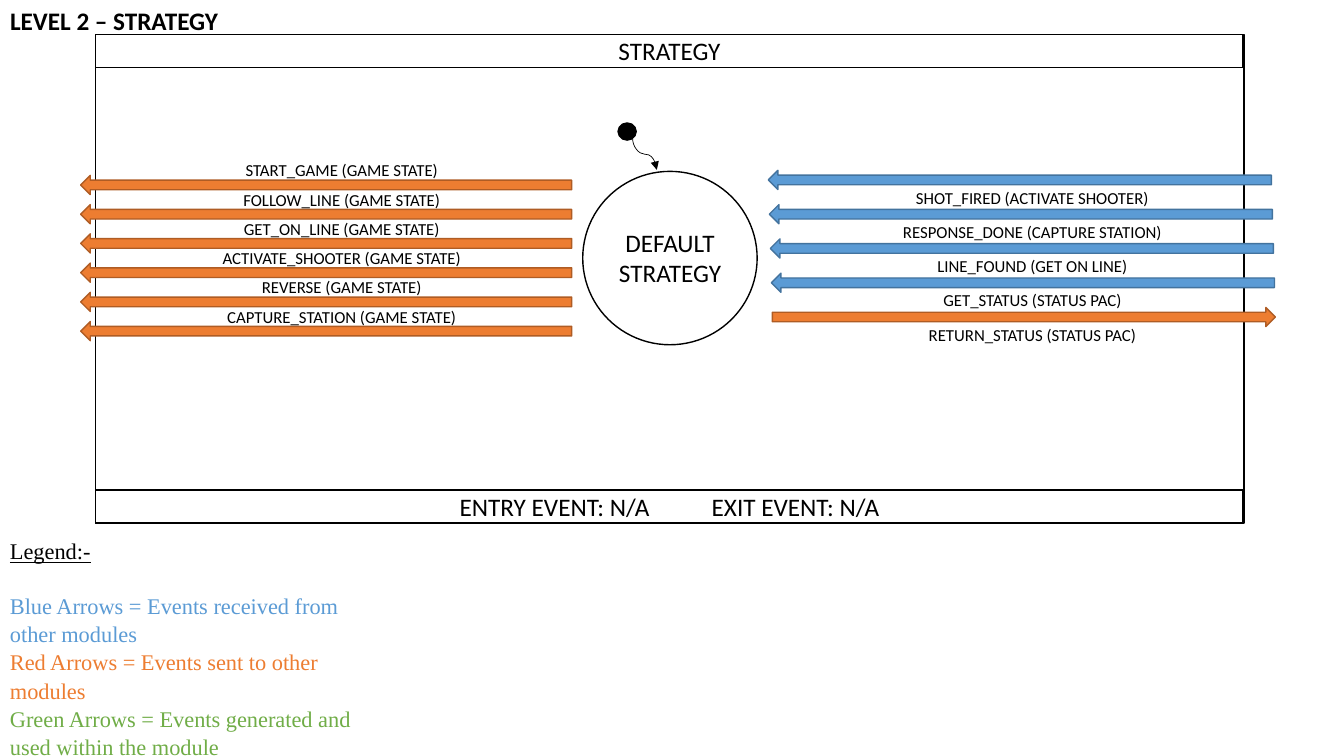
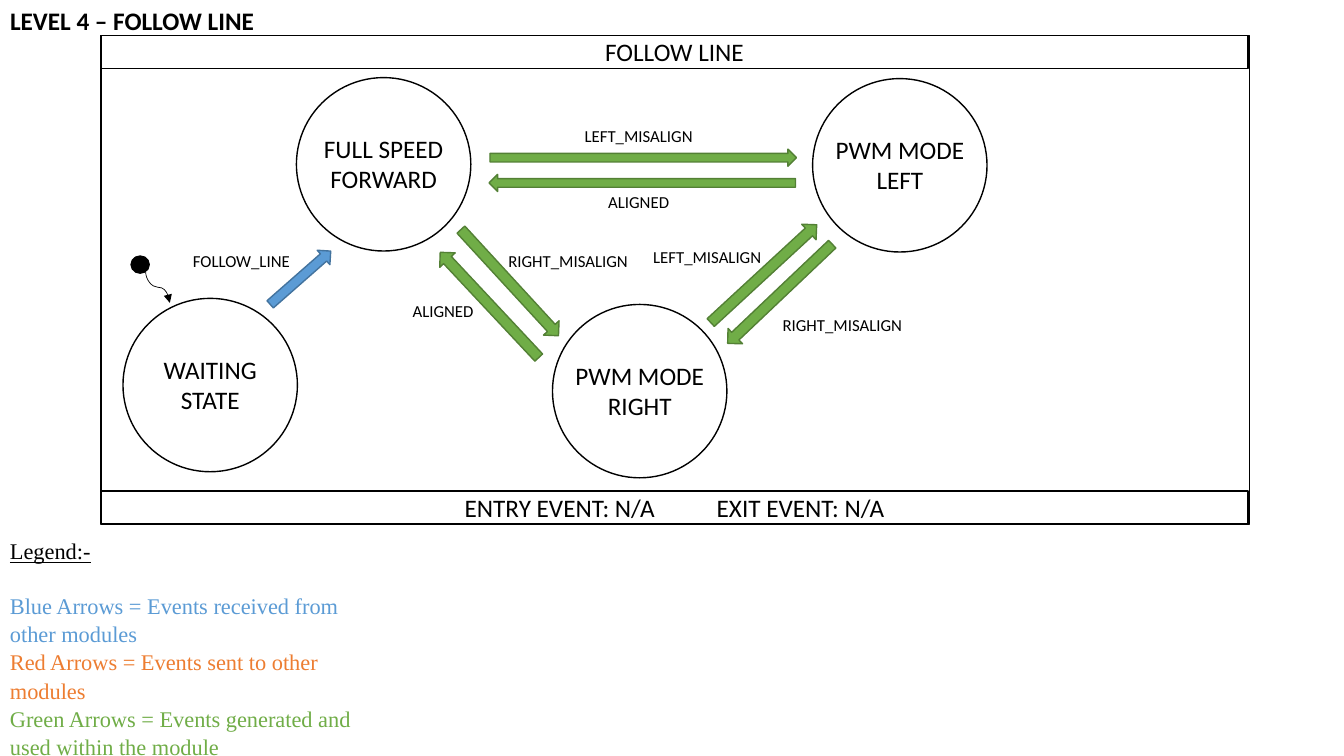
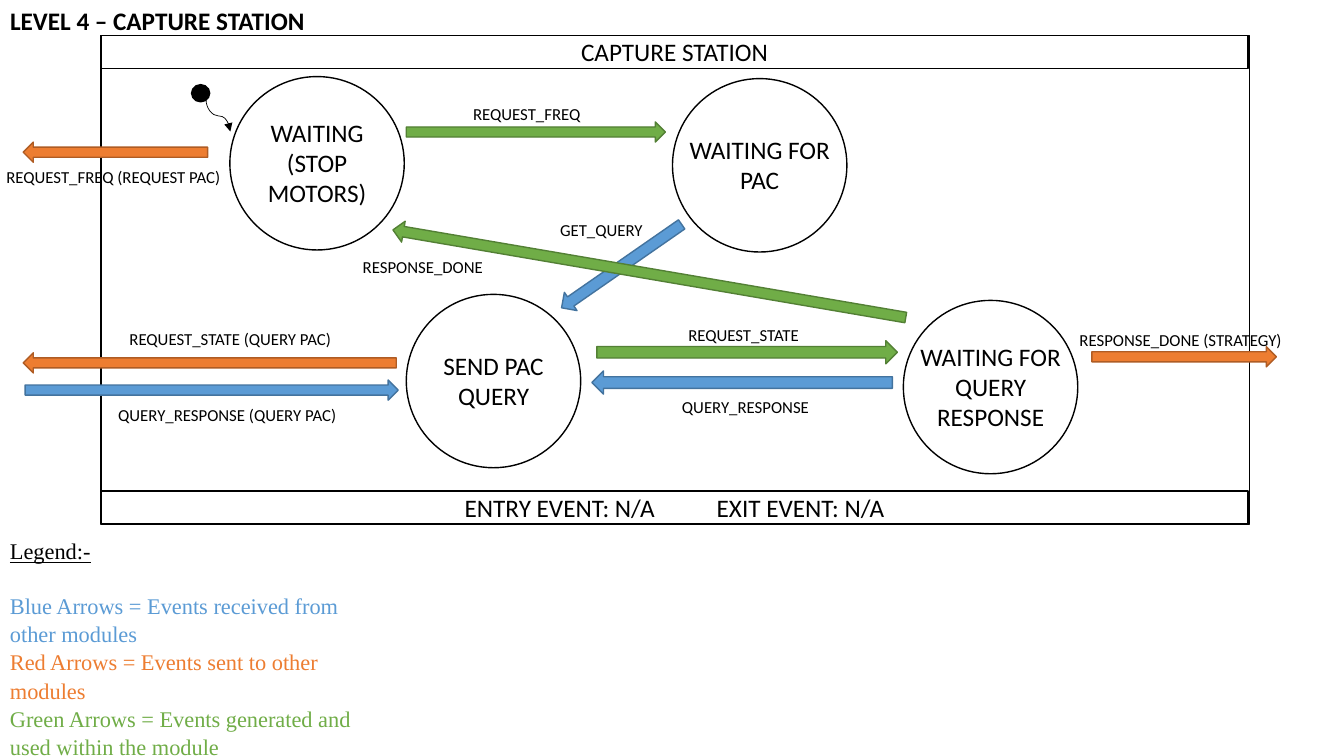
from pptx import Presentation
from pptx.dml.color import RGBColor
from pptx.enum.shapes import MSO_CONNECTOR, MSO_SHAPE
from pptx.enum.text import MSO_ANCHOR, MSO_AUTO_SIZE, PP_ALIGN
from pptx.oxml.ns import qn
from pptx.util import Inches, Pt
from lxml.etree import SubElement

INK = {"black": "000000", "white": "FFFFFF", "blue": "5B9BD5", "red": "ED7D31", "green": "70AD47"}
EDGE = {"blue": "43739E", "red": "AF5C24", "green": "538035"}
FONT, SERIF = "Calibri", "Times New Roman"
WIDE, BAND = 11.38, 0.33
ROUND = (1.73, 1.72)
EVENTS = "ENTRY EVENT: N/A\t\tEXIT EVENT: N/A"
LEGEND = [
    ("Legend:-", "black"),
    ("Blue Arrows = Events received from other modules", "blue"),
    ("Red Arrows = Events sent to other modules", "red"),
    ("Green Arrows = Events generated and used within the module", "green"),
]

SENT = [
    ("START_GAME (GAME STATE)", 2.22),
    ("FOLLOW_LINE (GAME STATE)", 2.22),
    ("GET_ON_LINE (GAME STATE)", 2.22),
    ("ACTIVATE_SHOOTER (GAME STATE)", 2.62),
    ("REVERSE (GAME STATE)", 2.22),
    ("CAPTURE_STATION (GAME STATE)", 2.56),
]
HEARD = [
    ("SHOT_FIRED (ACTIVATE SHOOTER)", 2.79, "blue", 180),
    ("RESPONSE_DONE (CAPTURE STATION)", 2.84, "blue", 180),
    ("LINE_FOUND (GET ON LINE)", 2.22, "blue", 180),
    ("GET_STATUS (STATUS PAC)", 2.22, "blue", 180),
    ("RETURN_STATUS (STATUS PAC)", 2.35, "red", 0),
]

SLIDES = [
    {
        "title": "LEVEL 2 – STRATEGY", "width": 2.29,
        "name": "STRATEGY", "frame": (0.95, 0.34), "start": (6.13, 1.22),
        "states": [("DEFAULT STRATEGY", 5.78, 1.7, 1.25, 2)],
        "arrows": [("red", 0.8, 1.74 + 0.29 * i, 4.87, 0.19, 180) for i in range(len(SENT))]
        + [(ink, 7.62 + 0.01 * i, 1.69 + 0.34 * i, 4.99, 0.19, turn)
           for i, (text, w, ink, turn) in enumerate(HEARD)],
        "labels": [(text, 3.39 - w / 2, 1.54 + 0.29 * i, w) for i, (text, w) in enumerate(SENT)]
        + [(text, 10.24 - w / 2, 1.81 + 0.34 * i, w) for i, (text, w, ink, turn) in enumerate(HEARD)],
    },
    {
        "title": "LEVEL 4 – FOLLOW LINE", "width": 2.65,
        "name": "FOLLOW LINE", "frame": (1, 0.35), "start": (1.3, 2.54),
        "states": [
            ("FULL SPEED FORWARD", 2.94, 0.77, 1.39, 2),
            ("PWM MODE LEFT", 8.06, 0.78, 1.85, 2),
            ("PWM MODE RIGHT", 5.48, 3.02, 1.85, 2),
            ("WAITING STATE", 1.22, 2.96, 1.39, 2),
        ],
        "arrows": [
            ("green", 4.86, 1.48, 3.04, 0.17, 0),
            ("green", 4.85, 1.73, 3.04, 0.17, 180),
            ("green", 4.34, 2.7, 1.43, 0.21, 47.4),
            ("green", 4.14, 2.92, 1.43, 0.21, 226.9),
            ("green", 6.86, 2.61, 1.43, 0.21, 317.3),
            ("green", 7.02, 2.81, 1.43, 0.21, 136.5),
            ("blue", 2.58, 2.66, 0.8, 0.19, 318.7),
        ],
        "labels": [
            ("LEFT_MISALIGN", 4.8, 1.2, 3.07),
            ("ALIGNED", 4.8, 1.85, 3.07),
            ("RIGHT_MISALIGN", 4.1, 2.44, 3.07),
            ("ALIGNED", 2.86, 2.93, 3.07),
            ("LEFT_MISALIGN", 5.48, 2.4, 3.07),
            ("RIGHT_MISALIGN", 6.82, 3.07, 3.07),
            ("FOLLOW_LINE", 0.86, 2.44, 3.07),
        ],
    },
    {
        "title": "LEVEL 4 – CAPTURE STATION", "width": 3.15,
        "name": "CAPTURE STATION", "frame": (1, 0.35), "start": (1.9, 0.84),
        "states": [
            ("WAITING (STOP MOTORS)", 2.28, 0.76, 1.39, 3),
            ("WAITING FOR PAC", 6.67, 0.78, 1.85, 2),
            ("SEND PAC QUERY", 4.03, 2.92, 1.85, 2),
            ("WAITING FOR QUERY RESPONSE", 8.96, 2.98, 1.85, 3),
        ],
        "arrows": [
            ("green", 4.03, 1.21, 2.57, 0.2, 0),
            ("red", 0.23, 1.41, 1.83, 0.2, 180),
            ("blue", 5.44, 2.53, 1.45, 0.22, 145.2),
            ("green", 5.92, 3.38, 2.98, 0.23, 0),
            ("blue", 5.87, 3.68, 2.98, 0.23, 180),
            ("red", 0.23, 3.5, 3.7, 0.2, 180),
            ("blue", 0.25, 3.77, 3.7, 0.2, 0),
            ("green", 3.86, 2.61, 5.16, 0.21, 189.7),
            ("red", 10.83, 3.44, 1.83, 0.2, 0),
        ],
        "labels": [
            ("REQUEST_FREQ", 3.69, 0.98, 3.07),
            ("REQUEST_FREQ (REQUEST PAC)", -0.41, 1.61, 3.07),
            ("GET_QUERY", 4.43, 2.13, 3.07),
            ("REQUEST_STATE", 5.84, 3.17, 3.07),
            ("QUERY_RESPONSE", 5.86, 3.89, 3.07),
            ("REQUEST_STATE (QUERY PAC)", 0.75, 3.21, 3.07),
            ("QUERY_RESPONSE (QUERY PAC)", 0.72, 3.97, 3.07),
            ("RESPONSE_DONE", 2.66, 2.5, 3.07),
            ("RESPONSE_DONE (STRATEGY)", 10.55, 3.22, 2.32),
        ],
    },
]


def color(key):
    return RGBColor.from_string(INK[key])


def box(x, y, w, h):
    return [Inches(v) for v in (x, y, w, h)]


def style(par, size, ink="black", font=FONT):
    for run in par.runs:
        run.font.size = Pt(size)
        run.font.name = font
        run.font.color.rgb = color(ink)


def center(frame, text, size):
    frame.text = text
    par = frame.paragraphs[0]
    par.alignment = PP_ALIGN.CENTER
    style(par, size)


def shape(shapes, kind, place, fill=None, edge="000000"):
    item = shapes.add_shape(kind, *box(*place))
    item.shadow.inherit = False
    if fill:
        item.fill.solid()
        item.fill.fore_color.rgb = color(fill)
    else:
        item.fill.background()
    item.line.color.rgb = RGBColor.from_string(edge)
    item.line.width = Pt(1)
    return item


def words(shapes, text, place, size):
    item = shapes.add_textbox(*box(*place))
    item.text_frame.word_wrap = True
    center(item.text_frame, text, size)


def head(slide, text, w):
    title = slide.shapes.title
    title.left, title.top, title.width, title.height = box(0, 0, w, 0.4)
    frame = title.text_frame
    frame.text = text
    frame.word_wrap = False
    frame.auto_size = MSO_AUTO_SIZE.NONE
    frame.vertical_anchor = MSO_ANCHOR.TOP
    par = frame.paragraphs[0]
    par.alignment = PP_ALIGN.LEFT
    style(par, 18)
    par.runs[0].font.bold = True


def legend(shapes):
    frame = shapes.add_textbox(*box(0, 5.27, 3.92, 2.23)).text_frame
    frame.word_wrap = True
    for i, (text, ink) in enumerate(LEGEND):
        par = frame.add_paragraph() if i else frame.paragraphs[0]
        par.text = text
        par.line_spacing = 1.05
        style(par, 16, ink, SERIF)
    frame.paragraphs[0].runs[0].font.underline = True
    frame.paragraphs[1].space_before = Pt(19)


def panel(shapes, name, x, y):
    group = shapes.add_group_shape().shapes
    shape(group, MSO_SHAPE.RECTANGLE, (x, y, WIDE + 0.01, 4.85))
    for text, top in ((name, y), (EVENTS, y + 4.52)):
        band = shape(group, MSO_SHAPE.RECTANGLE, (x, top, WIDE, BAND), "white")
        band.text_frame.vertical_anchor = MSO_ANCHOR.MIDDLE
        center(band.text_frame, text, 18)


def state(shapes, text, x, y, w, lines):
    group = shapes.add_group_shape().shapes
    shape(group, MSO_SHAPE.OVAL, (x, y, *ROUND), "white")
    h = 0.1 + 0.305 * lines
    words(group, text, (x + (ROUND[0] - w) / 2, y + (ROUND[1] - h) / 2, w, h), 18)


def start(shapes, x, y):
    group = shapes.add_group_shape().shapes
    shape(group, MSO_SHAPE.OVAL, (x, y, 0.18, 0.17), "black")
    left, top = x + 0.11, y + 0.19
    curve = group.add_connector(MSO_CONNECTOR.CURVE, *box(left + 0.31, top, left, top + 0.24))
    curve.line.color.rgb = color("black")
    curve.line.width = Pt(0.5)
    props = curve._element.spPr
    props.find(qn("a:xfrm")).set("rot", str(270 * 60000))
    SubElement(props.find(qn("a:ln")), qn("a:tailEnd")).set("type", "triangle")
    SubElement(props, qn("a:effectLst"))


deck = Presentation()
deck.slide_width, deck.slide_height = Inches(13.33), Inches(7.5)
for data in SLIDES:
    slide = deck.slides.add_slide(deck.slide_layouts[5])
    shapes = slide.shapes
    head(slide, data["title"], data["width"])
    legend(shapes)
    panel(shapes, data["name"], *data["frame"])
    for item in data["states"]:
        state(shapes, *item)
    start(shapes, *data["start"])
    for ink, x, y, w, h, turn in data["arrows"]:
        shape(shapes, MSO_SHAPE.RIGHT_ARROW, (x, y, w, h), ink, EDGE[ink]).rotation = turn
    for text, x, y, w in data["labels"]:
        words(shapes, text, (x, y, w, 0.3), 12)
deck.save("out.pptx")
